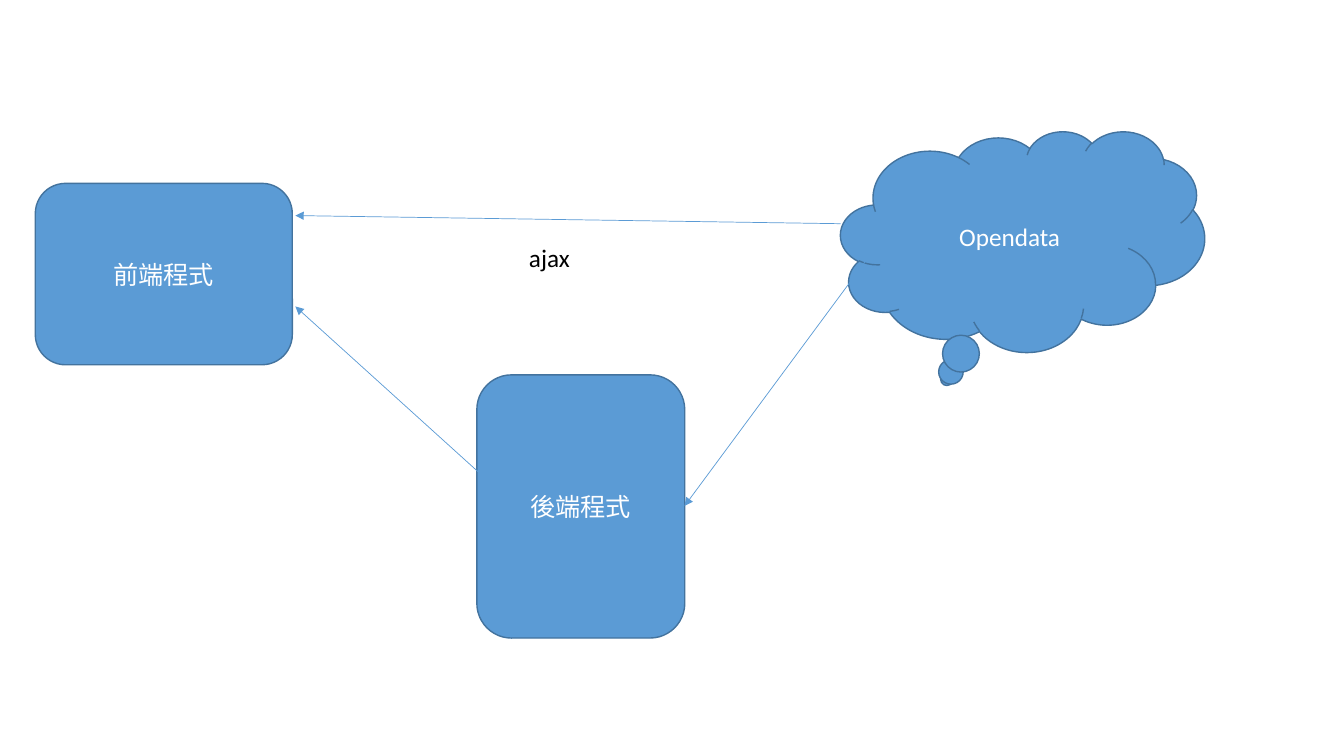
"""Build a slide showing how front end, back end and open data exchange data."""
from lxml.etree import SubElement
from pptx import Presentation
from pptx.dml.color import RGBColor
from pptx.enum.shapes import MSO_CONNECTOR, MSO_SHAPE
from pptx.enum.text import MSO_ANCHOR, MSO_AUTO_SIZE, PP_ALIGN
from pptx.oxml.ns import qn
from pptx.util import Pt

BLUE = RGBColor(0x5B, 0x9B, 0xD5)
DARK_BLUE = RGBColor(0x43, 0x73, 0x9E)
WHITE = RGBColor(0xFF, 0xFF, 0xFF)
BLACK = RGBColor(0x00, 0x00, 0x00)


def write(frame, text, color):
    run = frame.paragraphs[0].add_run()
    run.text = text
    run.font.name = "Calibri"
    run.font.size = Pt(18)
    run.font.color.rgb = color


prs = Presentation()
prs.slide_width, prs.slide_height = Pt(960), Pt(540)
slide = prs.slides.add_slide(prs.slide_layouts[6])

nodes = [
    ("Opendata", MSO_SHAPE.CLOUD_CALLOUT, 600.5, 93.6, 260, 157.7),
    ("前端程式", MSO_SHAPE.ROUNDED_RECTANGLE, 25.2, 131, 183.6, 129.6),
    ("後端程式", MSO_SHAPE.ROUNDED_RECTANGLE, 340.6, 267.8, 148.5, 188),
]
for label, outline, *box in nodes:
    node = slide.shapes.add_shape(outline, *map(Pt, box))
    node.shadow.inherit = False
    node.fill.solid()
    node.fill.fore_color.rgb = BLUE
    node.line.color.rgb = DARK_BLUE
    node.line.width = Pt(1)
    node.text_frame.vertical_anchor = MSO_ANCHOR.MIDDLE
    node.text_frame.paragraphs[0].alignment = PP_ALIGN.CENTER
    write(node.text_frame, label, WHITE)

ajax = slide.shapes.add_textbox(Pt(370.8), Pt(169.2), Pt(44), Pt(29)).text_frame
ajax.word_wrap = False
ajax.auto_size = MSO_AUTO_SIZE.SHAPE_TO_FIT_TEXT
write(ajax, "ajax", BLACK)

flows = [
    (600.5, 159.8, 211, 154),
    (617.8, 187.2, 489, 361.4),
    (346.3, 341.3, 211, 218.9),
]
for ends in flows:
    flow = slide.shapes.add_connector(MSO_CONNECTOR.STRAIGHT, *map(Pt, ends))
    flow.line.color.rgb = BLUE
    flow.line.width = Pt(0.5)
    SubElement(flow.line._get_or_add_ln(), qn("a:tailEnd"), type="triangle")
    SubElement(flow._element.spPr, qn("a:effectLst"))

prs.save("out.pptx")
